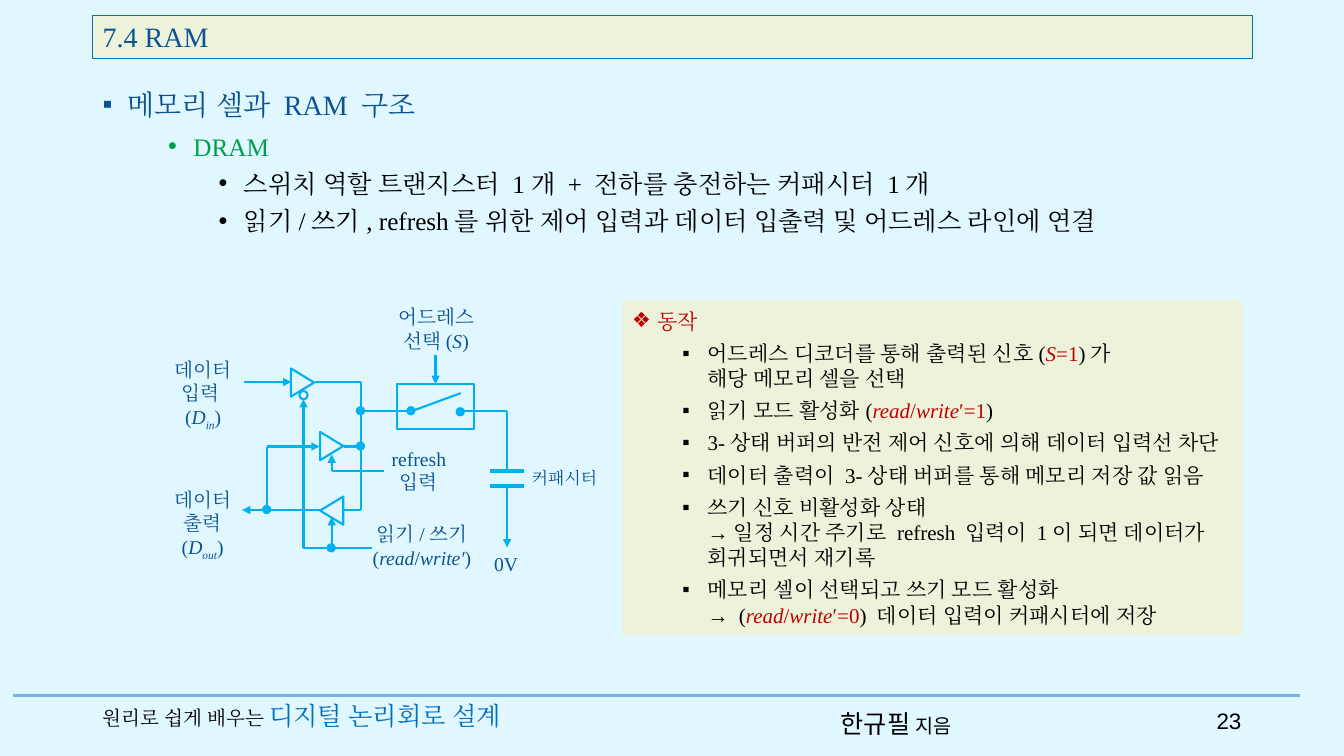
from lxml.etree import SubElement
from pptx import Presentation
from pptx.dml.color import RGBColor
from pptx.enum.shapes import MSO_CONNECTOR as LINK, MSO_SHAPE as SHAPE
from pptx.enum.text import MSO_ANCHOR as ANCHOR, PP_ALIGN as ALIGN
from pptx.oxml.ns import qn
from pptx.util import Pt

PX = 9144  # 100 px to the inch
SERIF, KOREAN = "Times New Roman", "Noto Sans CJK KR"
COLORS = {name: RGBColor.from_string(value) for name, value in {
    "sky": "E1F7FF", "cream": "EDF3DB", "wire": "00B0F0", "rule": "78B3E3",
    "navy": "0B5394", "blue": "0070C0", "green": "00A048", "red": "C00000",
    "black": "000000", "white": "FFFFFF"}.items()}


def write(shape, paragraphs, size, color="black", font=SERIF,
          anchor=ANCHOR.MIDDLE, align=ALIGN.LEFT, wrap=True):
    """Paragraphs are (runs, bullet, indent, space before); runs are (text, style)."""
    frame = shape.text_frame
    frame.word_wrap, frame.vertical_anchor = wrap, anchor
    for index, (runs, bullet, indent, before) in enumerate(paragraphs):
        para = frame.add_paragraph() if index else frame.paragraphs[0]
        para.alignment, para.space_before = align, Pt(before)
        if bullet:
            props = para._p.get_or_add_pPr()
            props.set("marL", str(indent * PX))
            props.set("indent", str(-25 * PX))
            SubElement(props, qn("a:buFont")).set("typeface", "Arial")
            SubElement(props, qn("a:buChar")).set("char", bullet)
        for text, style in runs:
            for row, piece in enumerate(text.split("\n")):
                if row:
                    para.add_line_break()
                run = para.add_run()
                run.text = piece
                run.font.size = Pt(style.get("size", size))
                run.font.name = font
                run.font.italic = style.get("italic", False)
                run.font.color.rgb = COLORS[style.get("color", color)]
                run_props = run._r.get_or_add_rPr()
                SubElement(run_props, qn("a:ea")).set("typeface", font)
                if style.get("sub"):
                    run_props.set("baseline", "-25000")


def draw(shapes, kind, box, fill=None, line=None, weight=1.5, arrow=False):
    """A line's box holds its two ends; a preset shape's box holds left, top, width, height."""
    ends = [value * PX for value in box]
    if kind is LINK.STRAIGHT:
        shape = shapes.add_connector(kind, *ends)
        SubElement(shape._element.spPr, qn("a:effectLst"))
    else:
        shape = shapes.add_shape(kind, *ends)
        shape.shadow.inherit = False
        if fill:
            shape.fill.solid()
            shape.fill.fore_color.rgb = COLORS[fill]
        else:
            shape.fill.background()
    if line:
        shape.line.color.rgb = COLORS[line]
        shape.line.width = Pt(weight)
    else:
        shape.line.fill.background()
    if arrow:
        SubElement(shape.line._get_or_add_ln(), qn("a:tailEnd")).set("type", "triangle")
    return shape


deck = Presentation()
deck.slide_width, deck.slide_height = 1333 * PX, 750 * PX
slide = deck.slides.add_slide(deck.slide_layouts[6])
slide.background.fill.solid()
slide.background.fill.fore_color.rgb = COLORS["sky"]
canvas = slide.shapes

# Footer
draw(canvas, LINK.STRAIGHT, (13, 690, 1289, 690), line="rule", weight=2.5)
for box, runs, size, font, align in [
    ((824, 698, 153, 40), [("한규필 ", {}), ("지음", {"size": 14})], 18, KOREAN, ALIGN.LEFT),
    ((1179, 695, 62, 40), [("23", {})], 16, "Arial", ALIGN.RIGHT),
    ((92, 690, 463, 40), [("원리로 쉽게 배우는 ", {"size": 14}),
                          ("디지털 논리회로 설계", {"color": "blue"})], 18, SERIF, ALIGN.LEFT),
]:
    footer = canvas.add_textbox(*[value * PX for value in box])
    write(footer, [(runs, None, 0, 0)], size, font=font, align=align)

# Title and outline
title = draw(canvas, SHAPE.RECTANGLE, (92, 15, 1150, 43), "cream", "blue", 0.75)
write(title, [([("7.4 RAM", {})], None, 0, 0)], 20, "navy")
heading = canvas.add_textbox(92 * PX, 82 * PX, 1150 * PX, 43 * PX)
write(heading, [([("메모리 셀과 RAM 구조", {})], "▪", 25, 10)], 20, "navy")
outline = canvas.add_textbox(107 * PX, 125 * PX, 1150 * PX, 126 * PX)
write(outline, [
    ([("DRAM", {"color": "green"})], "•", 75, 5),
    ([("스위치 역할 트랜지스터 1개 + 전하를 충전하는 커패시터 1개", {})], "•", 125, 5),
    ([("읽기/쓰기, refresh를 위한 제어 입력과 데이터 입출력 및 어드레스 라인에 연결", {})],
     "•", 125, 5),
], 18, anchor=ANCHOR.TOP)

# Memory cell: output line, buffers and switch box
cell = canvas.add_group_shape().shapes
draw(cell, LINK.STRAIGHT, (358, 506, 240, 506), line="wire", arrow=True)
for left, top, turn in [(286, 368, 90), (315, 431, 90), (315, 495, 270)]:
    buffer = draw(cell, SHAPE.ISOSCELES_TRIANGLE, (left, top, 28, 23), "sky", "wire")
    buffer.rotation = turn
draw(cell, SHAPE.OVAL, (297, 388, 8, 8), "white", "wire")
draw(cell, SHAPE.RECTANGLE, (394, 381, 76, 45), line="wire")

# Wires, arrows and capacitor plates
wires = [
    (408, 408, 457, 390), (358, 379, 312, 379), (404, 408, 358, 408),
    (503, 408, 457, 408), (358, 379, 358, 506), (265, 443, 265, 506),
    (358, 443, 341, 443), (369, 544, 301, 544), (381, 467, 329, 467),
    (503, 408, 503, 467)]
arrows = [
    (503, 483, 503, 543), (432, 352, 432, 381), (265, 443, 317, 443),
    (301, 544, 301, 396), (329, 544, 329, 513), (242, 379, 289, 379),
    (329, 467, 329, 451)]
plates = [(520, 467, 486, 467), (520, 482, 486, 482)]
for ends_list, weight, arrow in [(wires, 1.5, False), (arrows, 1.5, True), (plates, 3, False)]:
    for ends in ends_list:
        draw(cell, LINK.STRAIGHT, ends, line="wire", weight=weight, arrow=arrow)

# Junction dots
for left, top in [(453, 405), (404, 404), (354, 404), (354, 439), (325, 540), (261, 502)]:
    draw(cell, SHAPE.OVAL, (left, top, 7, 7), "wire", "wire")

# Circuit labels
italic, sub = {"italic": True}, {"italic": True, "sub": True}
for box, size, runs in [
    ((480, 543, 44, 34), 14, [("0V", {})]),
    ((516, 459, 88, 30), 12, [("커패시터", {})]),
    ((383, 298, 99, 57), 14, [("어드레스\n선택(", {}), ("S", italic), (")", {})]),
    ((153, 350, 97, 57), 14, [("데이터\n입력(", {}), ("D", italic), ("in", sub), (")", {})]),
    ((147, 479, 108, 57), 14, [("데이터\n출력 (", {}), ("D", italic), ("out", sub), (")", {})]),
    ((359, 513, 119, 57), 14, [("읽기/쓰기\n(", {}), ("read", italic), ("/", {}),
                               ("write'", italic), (")", {})]),
    ((378, 438, 75, 57), 14, [("refresh\n입력", {})]),
]:
    label = cell.add_textbox(*[value * PX for value in box])
    write(label, [(runs, None, 0, 0)], size, "navy", anchor=ANCHOR.TOP,
          align=ALIGN.CENTER, wrap=False)

# Operation panel
red, red_italic = {"color": "red"}, {"color": "red", "italic": True}
read_write = [("read", red_italic), ("/", red), ("write", red_italic)]
steps = [
    [("어드레스 디코더를 통해 출력된 신호(", {}), ("S", red_italic), ("=1", red),
     (")가 \n해당 메모리 셀을 선택", {})],
    [("읽기 모드 활성화(", {}), *read_write, ("′=1", red), (")", {})],
    [("3-상태 버퍼의 반전 제어 신호에 의해 데이터 입력선 차단", {})],
    [("데이터 출력이 3-상태 버퍼를 통해 메모리 저장 값 읽음", {})],
    [("쓰기 신호 비활성화 상태 \n→ 일정 시간 주기로 refresh 입력이 1이 되면 데이터가 회귀되면서 재기록", {})],
    [("메모리 셀이 선택되고 쓰기 모드 활성화 \n→ (", {}), *read_write, ("′=0", red),
     (") 데이터 입력이 커패시터에 저장", {})],
]
panel = draw(canvas, SHAPE.RECTANGLE, (617, 298, 615, 332), "cream")
write(panel, [([("동작", red)], "❖", 25, 10)] + [(runs, "▪", 75, 5) for runs in steps], 15)

deck.save("out.pptx")
